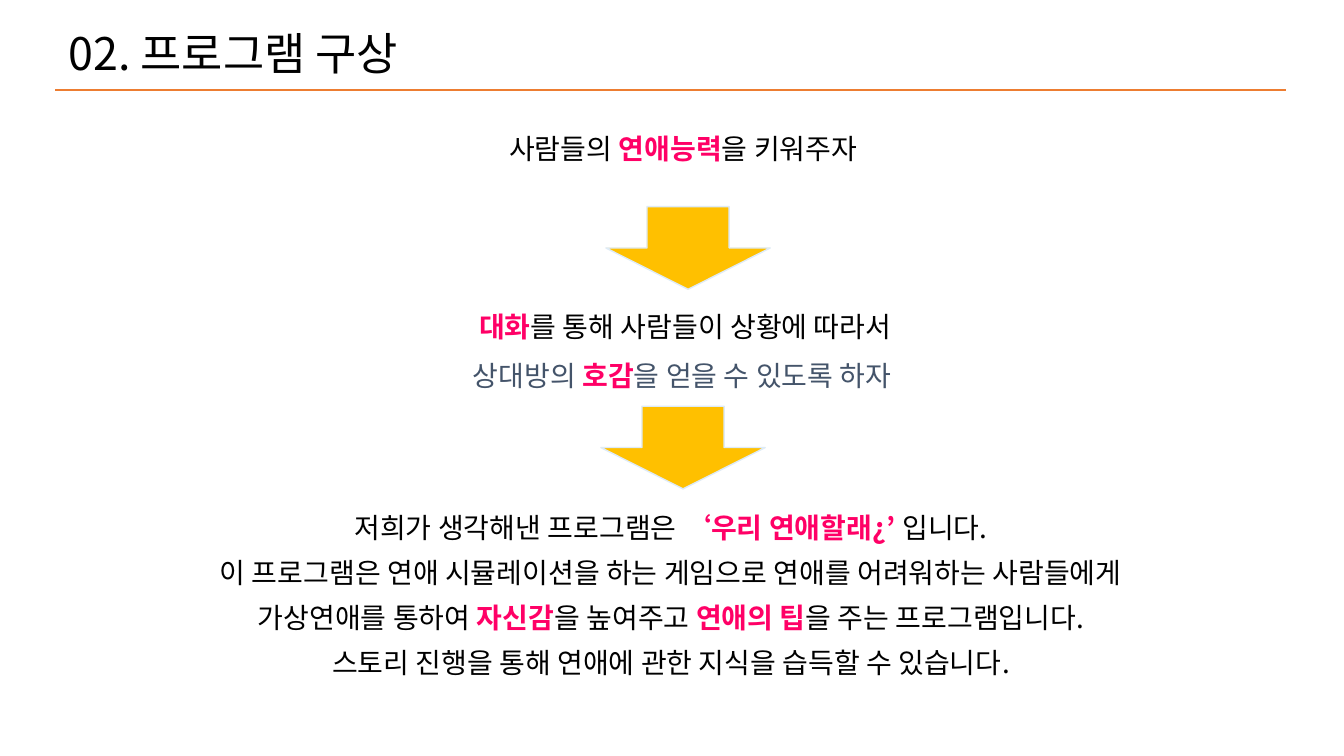
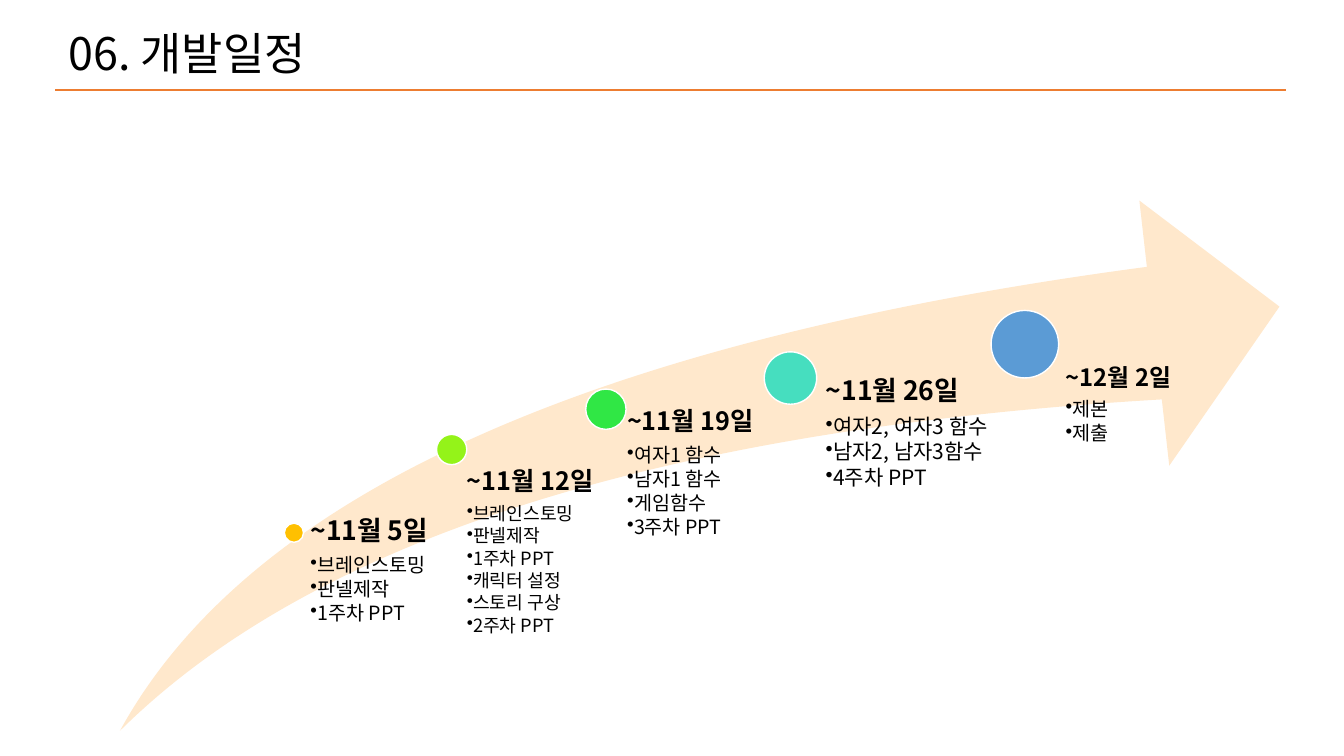
from lxml import etree
from pptx import Presentation
from pptx.dml.color import RGBColor
from pptx.enum.shapes import MSO_CONNECTOR, MSO_SHAPE
from pptx.enum.text import MSO_AUTO_SIZE, PP_ALIGN
from pptx.oxml.ns import qn
from pptx.util import Inches, Pt

STRAIGHT = MSO_CONNECTOR.STRAIGHT
DOWN_ARROW = MSO_SHAPE.DOWN_ARROW
SWOOSH_ARROW = MSO_SHAPE.SWOOSH_ARROW
OVAL = MSO_SHAPE.OVAL
CENTER = PP_ALIGN.CENTER
GROW = MSO_AUTO_SIZE.SHAPE_TO_FIT_TEXT

BLACK = RGBColor(0x00, 0x00, 0x00)
WHITE = RGBColor(0xFF, 0xFF, 0xFF)
ORANGE = RGBColor(0xED, 0x7D, 0x31)
PINK = RGBColor(0xFF, 0x00, 0x66)
SLATE = RGBColor(0x44, 0x54, 0x6A)
AMBER = RGBColor(0xFF, 0xC0, 0x00)
PALE_BLUE = RGBColor(0xDE, 0xEB, 0xF7)
PEACH = RGBColor(0xFF, 0xE8, 0xCC)
LIME = RGBColor(0x94, 0xF3, 0x19)
GREEN = RGBColor(0x30, 0xE7, 0x45)
TEAL = RGBColor(0x46, 0xDE, 0xBF)
BLUE = RGBColor(0x5B, 0x9B, 0xD5)

HANGUL_FONT = "Noto Sans CJK KR"
LATIN_FONT = "Arial"

GOAL = [[(" 사람들의 ", BLACK), ("연애능력", PINK), ("을 키워주자", BLACK)]]
METHOD = [
    [(" ", BLACK), ("대화", PINK), ("를 통해 사람들이 상황에 따라서", BLACK)],
    [("상대방의 ", SLATE), ("호감", PINK), ("을 얻을 수 있도록 하자", SLATE)],
]
PROGRAM = [
    [("저희가 생각해낸 프로그램은 ", BLACK), ("‘우리 연애할래", PINK),
     ("¿’ ", PINK, HANGUL_FONT), ("입니다.", BLACK, HANGUL_FONT)],
    [("이 프로그램은 연애 시뮬레이션을 하는 게임으로 연애를 어려워하는 사람들에게",
      BLACK, HANGUL_FONT)],
    [("가상연애를 통하여 ", BLACK, HANGUL_FONT), ("자신감", PINK, HANGUL_FONT),
     ("을 높여주고 ", BLACK, HANGUL_FONT), ("연애의 팁", PINK, HANGUL_FONT),
     ("을 주는 프로그램입니다.", BLACK, HANGUL_FONT)],
    [("스토리 진행을 통해 연애에 관한 지식을 습득할 수 있습니다.",
      BLACK, HANGUL_FONT)],
]

MILESTONES = [
    ((2.82, 5.19, 0.19), AMBER, (2.98, 5.13, 1.89, 1.25), 0.1, 19, 14,
     "~11월 5일", ["브레인스토밍", "판넬제작", "1주차 PPT"]),
    ((4.33, 4.31, 0.3), LIME, (4.47, 4.65, 1.8, 2.21), 0.16, 18, 13,
     "~11월 12일", ["브레인스토밍", "판넬제작", "1주차 PPT", "캐릭터 설정",
                  "스토리 구상", "2주차 PPT"]),
    ((5.81, 3.86, 0.4), GREEN, (6.01, 4.06, 1.63, 2.96), 0.21, 18, 14,
     "~11월 19일", ["여자1 함수", "남자1 함수", "게임함수", "3주차 PPT"]),
    ((7.58, 3.49, 0.52), TEAL, (7.91, 3.75, 2.05, 3.53), 0.28, 19, 15,
     "~11월 26일", ["여자2, 여자3 함수", "남자2, 남자3함수", "4주차 PPT"]),
    ((9.83, 3.08, 0.67), BLUE, (10.22, 3.63, 1.68, 3.87), 0.35, 17, 14,
     "~12월 2일", ["제본", "제출"]),
]


def style_run(run, size, color=BLACK, bold=False, font=HANGUL_FONT):
    """Format one run, with the Hangul font for its East Asian letters."""
    run.font.size = Pt(size)
    run.font.bold = bold
    run.font.color.rgb = color
    run.font.name = font
    east_asian = etree.SubElement(run.font._element, qn("a:ea"))
    east_asian.set("typeface", HANGUL_FONT)


def set_indent(paragraph, inches):
    """Give a paragraph a hanging indent."""
    properties = paragraph._p.get_or_add_pPr()
    properties.set("marL", str(Inches(inches)))
    properties.set("indent", str(-Inches(inches)))
    return properties


def add_text(shapes, box):
    """Add an empty wrapping text box and return its frame."""
    frame = shapes.add_textbox(*map(Inches, box)).text_frame
    frame.word_wrap = True
    return frame


def add_filled(shapes, kind, box, fill, outline=None):
    """Add a flat preset shape, outlined if a colour is given."""
    shape = shapes.add_shape(kind, *map(Inches, box))
    shape.shadow.inherit = False
    shape.fill.solid()
    shape.fill.fore_color.rgb = fill
    if outline is None:
        shape.line.fill.background()
    else:
        shape.line.color.rgb = outline
        shape.line.width = Pt(1)
    return shape


def add_titled_slide(deck, title):
    """Add a blank slide with the shared title and rule."""
    slide = deck.slides.add_slide(deck.slide_layouts[6])
    rule = slide.shapes.add_connector(
        STRAIGHT, Inches(0.55), Inches(0.89), Inches(12.75), Inches(0.89))
    rule.line.color.rgb = ORANGE
    rule.line.width = Pt(1.5)
    etree.SubElement(rule._element.spPr, qn("a:effectLst"))
    frame = add_text(slide.shapes, (0.58, 0.21, 6.96, 1.17))
    frame.auto_size = GROW
    frame.text = title
    style_run(frame.paragraphs[0].runs[0], 32)
    return slide


def add_statement(slide, box, lines, spacing):
    """Add centred lines whose pink parts are bold."""
    frame = add_text(slide.shapes, box)
    for index, parts in enumerate(lines):
        paragraph = frame.paragraphs[0] if index == 0 else frame.add_paragraph()
        paragraph.alignment = CENTER
        paragraph.line_spacing = spacing
        paragraph.space_before = Pt(10)
        paragraph.space_after = Pt(2)
        set_indent(paragraph, 0.42)
        for text, color, *font in parts:
            run = paragraph.add_run()
            run.text = text
            style_run(run, 20, color, color == PINK, *(font or [LATIN_FONT]))


def add_milestone(shapes, dot, color, box, inset, date_size, task_size, date, tasks):
    """Add a dot on the timeline with its date and bulleted tasks."""
    left, top, diameter = dot
    add_filled(shapes, OVAL, (left, top, diameter, diameter), color, WHITE)
    frame = add_text(shapes, box)
    frame.margin_left = Inches(inset)
    frame.margin_top = frame.margin_right = frame.margin_bottom = 0
    frame.text = "\n".join([date, *tasks])
    heading, *items = frame.paragraphs
    heading.line_spacing = 0.9
    heading.space_after = Pt(round(date_size * 0.35, 1))
    style_run(heading.runs[0], date_size, bold=True)
    for item in items:
        item.level = 1
        item.line_spacing = 0.9
        item.space_after = Pt(round(task_size * 0.15, 1))
        bullet = etree.SubElement(set_indent(item, 0.06), qn("a:buChar"))
        bullet.set("char", "•")
        style_run(item.runs[0], task_size)


def build_concept(deck):
    """Build the slide on the idea of the program."""
    slide = add_titled_slide(deck, "02. 프로그램 구상")
    add_statement(slide, (0.5, 1.28, 12.49, 0.98), GOAL, 0.94)
    add_statement(slide, (0.5, 5.07, 12.31, 1.83), PROGRAM, 0.84)
    for left, top in ((5.96, 4.03), (6.01, 2.05)):
        add_filled(slide.shapes, DOWN_ARROW, (left, top, 1.63, 0.82), AMBER, PALE_BLUE)
    add_statement(slide, (0.52, 3.05, 12.49, 0.98), METHOD, 0.94)


def build_schedule(deck):
    """Build the slide with the development timeline."""
    slide = add_titled_slide(deck, "06. 개발일정")
    timeline = slide.shapes.add_group_shape().shapes
    swoosh = add_filled(timeline, SWOOSH_ARROW, (1.19, 1.99, 11.5, 5.26), PEACH)
    swoosh.adjustments[0] = 0.25
    swoosh.adjustments[1] = 0.25
    for milestone in MILESTONES:
        add_milestone(timeline, *milestone)


def main():
    """Build and save the presentation."""
    deck = Presentation()
    deck.slide_width = Inches(13.33)
    deck.slide_height = Inches(7.5)
    build_concept(deck)
    build_schedule(deck)
    deck.save("out.pptx")


if __name__ == "__main__":
    main()
